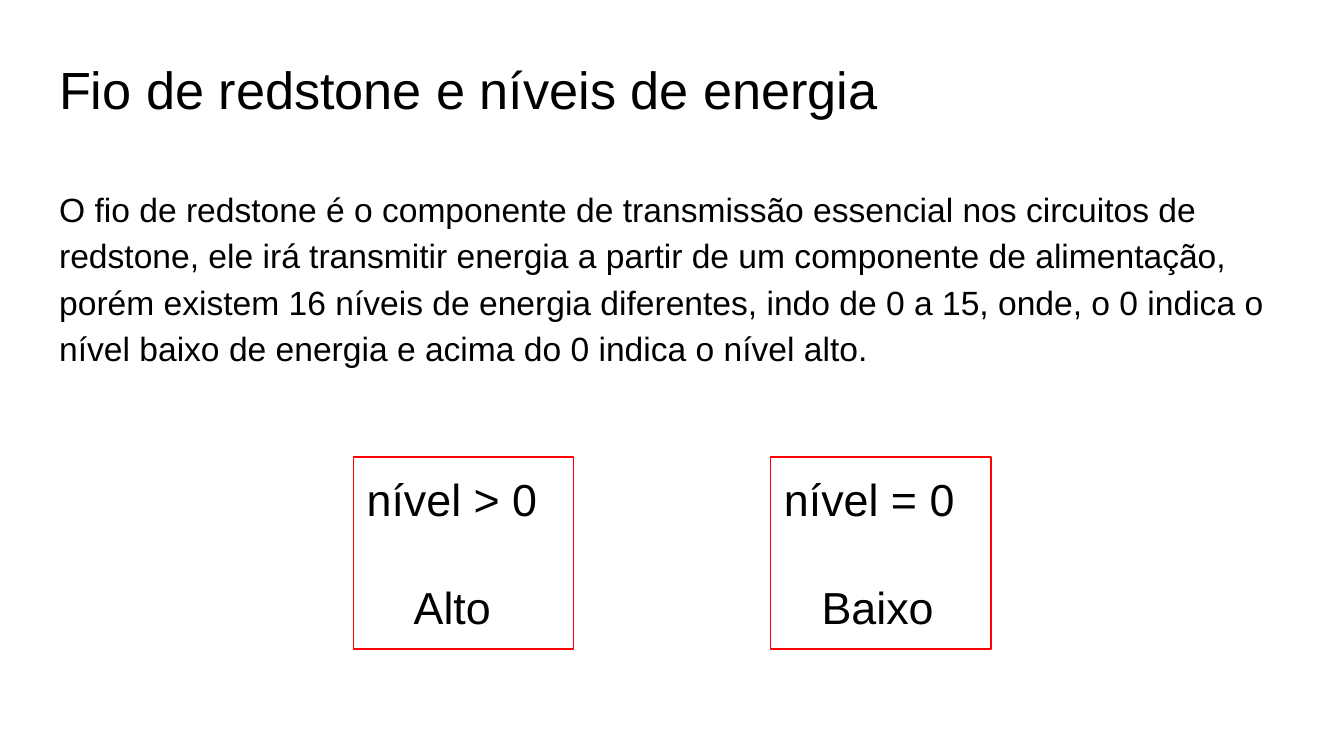
from dataclasses import dataclass

from pptx import Presentation
from pptx.dml.color import RGBColor
from pptx.enum.shapes import MSO_SHAPE
from pptx.enum.text import MSO_ANCHOR, PP_ALIGN
from pptx.oxml.ns import qn
from pptx.util import Pt
from lxml.etree import SubElement


@dataclass(frozen=True)
class Theme:
    font: str = "Arial"
    ink: RGBColor = RGBColor(0, 0, 0)
    edge: RGBColor = RGBColor(255, 0, 0)
    title: int = 28
    body: int = 18
    label: int = 24


theme = Theme()
PX = 4572  # 200 px to the inch


def place(shape, *box):
    shape.left, shape.top, shape.width, shape.height = [n * PX for n in box]


def style(frame, size, anchor):
    """Set margins, anchor and type for all the text in a frame."""
    frame.word_wrap = True
    frame.vertical_anchor = anchor
    frame.margin_left = frame.margin_right = 20 * PX
    frame.margin_top = frame.margin_bottom = 20 * PX
    for para in frame.paragraphs:
        para.alignment = PP_ALIGN.LEFT
        for run in para.runs:
            run.font.name = theme.font
            run.font.size = Pt(size)
            run.font.color.rgb = theme.ink


deck = Presentation()
deck.slide_width, deck.slide_height = 2000 * PX, 1125 * PX
slide = deck.slides.add_slide(deck.slide_layouts[1])

title = slide.shapes.title
place(title, 68, 65, 1864, 126)
title.text_frame.text = "Fio de redstone e níveis de energia"
style(title.text_frame, theme.title, MSO_ANCHOR.TOP)

body = slide.placeholders[1]
place(body, 68, 252, 1864, 748)
body.text_frame.text = (
    "O fio de redstone é o componente de transmissão essencial nos circuitos de "
    "redstone, ele irá transmitir energia a partir de um componente de alimentação, "
    "porém existem 16 níveis de energia diferentes, indo de 0 a 15, onde, o 0 indica "
    "o nível baixo de energia e acima do 0 indica o nível alto."
)
style(body.text_frame, theme.body, MSO_ANCHOR.TOP)
para = body.text_frame.paragraphs[0]
para.line_spacing = 1.15
para.space_before, para.space_after = Pt(0), Pt(16)
props = para._p.get_or_add_pPr()
props.set("marL", "0")
props.set("indent", "0")
SubElement(props, qn("a:buNone"))

# Left edge, rule, state and the indent of the state
levels = [(526, "nível > 0", "Alto", 70), (1147, "nível = 0", "Baixo", 56)]
for left, rule, state, indent in levels:
    card = slide.shapes.add_shape(MSO_SHAPE.RECTANGLE, 0, 0, 0, 0)
    place(card, left, 680, 328, 286)
    card.shadow.inherit = False
    card.fill.background()
    card.line.color.rgb = theme.edge
    card.line.width = Pt(0.75)
    card.text_frame.text = f"{rule}\n{state}"
    style(card.text_frame, theme.label, MSO_ANCHOR.MIDDLE)
    last = card.text_frame.paragraphs[1]
    last.space_before = Pt(29)
    last._p.get_or_add_pPr().set("marL", str(indent * PX))

deck.save("out.pptx")
